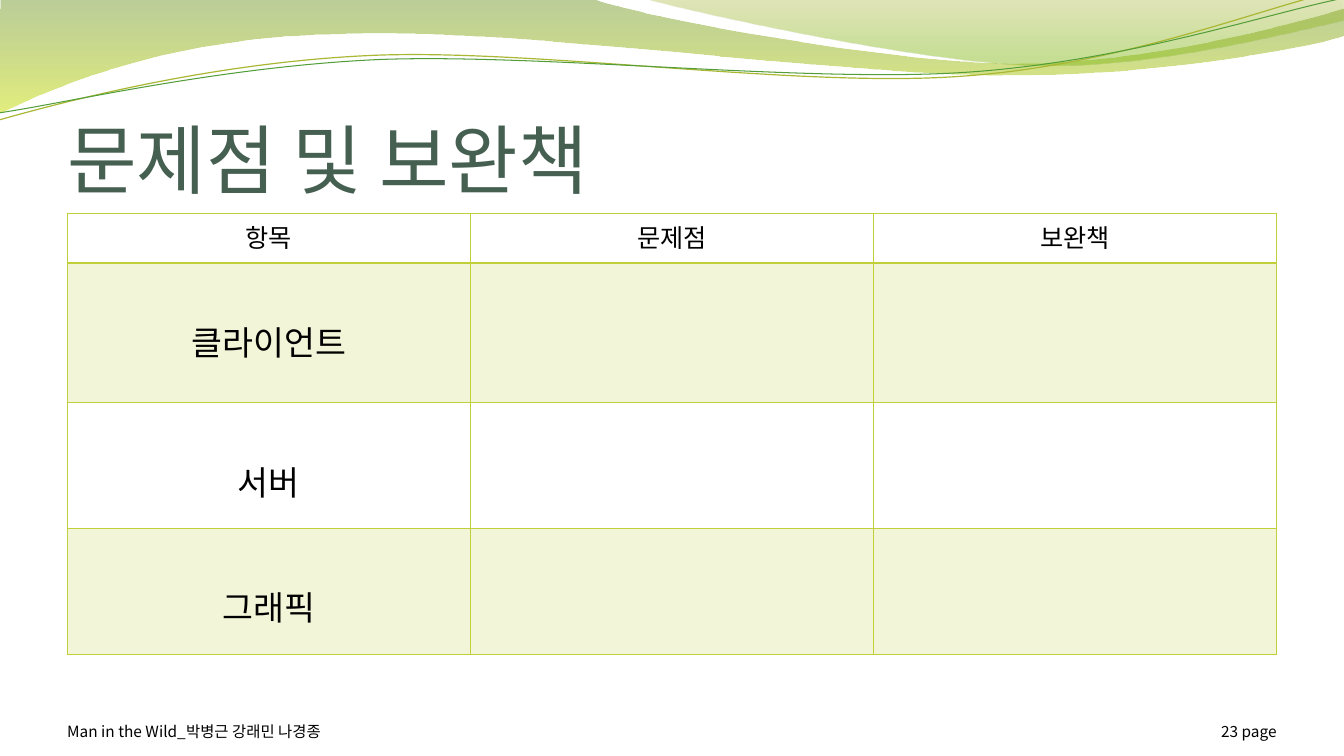
"""Build the slide on problems and remedies with its wave header."""
from lxml import etree
from pptx import Presentation
from pptx import util as u
from pptx.dml.color import RGBColor
from pptx.enum import text
from pptx.oxml.ns import qn

BLACK = RGBColor(0x00, 0x00, 0x00)
TITLE_GREEN = RGBColor(0x45, 0x5F, 0x51)
LIME = RGBColor(0xC0, 0xCF, 0x3A)
OLIVE = RGBColor(0x69, 0x92, 0x1C)
YELLOW = RGBColor(0xCC, 0xE1, 0x0F)
MOSS = RGBColor(0x9B, 0xAA, 0x1A)
GRASS = RGBColor(0x81, 0xBA, 0x16)
LINE_OLIVE = RGBColor(0xA9, 0xB7, 0x33)
LINE_GREEN = RGBColor(0x54, 0x9E, 0x39)
SANS = "Noto Sans CJK KR"
SERIF = "Vollkorn"

BAND = [(0, 0), (422.6, -0.7),
        (456.5, 12.2, 636.5, 45.4, 727.9, 45.4),
        (818.6, 45.4, 919.4, 18.7, 959.8, 6.5), (960.5, 25.9),
        (943.9, 31.7, 834.5, 54.7, 715.7, 54),
        (596.9, 54, 366.5, 20.2, 247, 24.5),
        (123.8, 25.9, 43.9, 59.8, -1.4, 81.4)]
SHEEN = [(459.4, -0.7), (488.9, 7.9, 654.5, 44.6, 738, 46.8),
         (820.8, 49.7, 923, 23, 959.8, 15.1), (959.8, 0)]
UPPER_LINE = [(-0.7, 85.7), (45.4, 72.7, 151.2, 44.6, 265.7, 39.6),
              (379.4, 34.6, 568.1, 62.6, 683.3, 54.7),
              (799.2, 47.5, 900.7, 5.8, 957.6, -7.2)]
LOWER_LINE = [(-0.7, 80.6), (44.6, 74.2, 157, 47.5, 271.4, 42.5),
              (386.6, 38.2, 573.1, 59, 687.6, 51.8),
              (802.1, 44.6, 903.6, 10.1, 959.8, -1.4)]


def apply(target, values):
    """Set attributes from a dict of format values."""
    for name, value in values.items():
        setattr(target, name, value)


def set_alpha(color, percent):
    """Give an RGB colour element an opacity in percent."""
    etree.SubElement(color, qn("a:alpha"), val=str(percent * 1000))


def write(para, words, size, color, font=SANS, align=text.PP_ALIGN.LEFT):
    """Write one formatted span into a paragraph."""
    para.alignment = align
    span = para.add_run()
    span.text = words
    apply(span.font, {"size": u.Pt(size), "name": font})
    span.font.color.rgb = color


def add_outline(page, path, left, top, closed):
    """Draw corners and cubic curves as a freeform, offset from a corner."""
    points = [((left + part[i]) * 100, (top + part[i + 1]) * 100)
              for part in path for i in range(0, len(part), 2)]
    builder = page.shapes.build_freeform(*points[0], scale=u.Pt(1) / 100)
    builder.add_line_segments(points[1:], close=closed)
    shape = builder.convert_to_shape()
    shape.shadow.inherit = False
    segments = iter(list(shape._element.spPr.iter(qn("a:lnTo"))))
    for part in path[1:]:
        segment = next(segments)
        if len(part) == 6:
            segment.addprevious(etree.Element(qn("a:cubicBezTo")))
            curve = segment.getprevious()
            for control in (segment, next(segments), next(segments)):
                curve.append(control[0])
                control.getparent().remove(control)
    return shape


def add_waves(page, left, top):
    """Draw the two gradient waves and the two thin lines."""
    for path, stops in ((BAND, [(0, OLIVE, 45), (1, YELLOW, 55)]),
                        (SHEEN, [(0, MOSS, 30), (0.8, GRASS, 45)])):
        wave = add_outline(page, path, left, top, True)
        wave.line.fill.background()
        wave.fill.gradient()
        wave.fill.gradient_angle = 270
        for stop, (position, color, _) in zip(wave.fill.gradient_stops, stops):
            stop.position = position
            stop.color.rgb = color
        colors = wave._element.spPr.iter(qn("a:srgbClr"))
        for color, (_, _, alpha) in zip(list(colors), stops):
            set_alpha(color, alpha)
    for path, color, width in ((UPPER_LINE, LINE_OLIVE, 0.85),
                               (LOWER_LINE, LINE_GREEN, 0.75)):
        curve = add_outline(page, path, left, top, False)
        curve.fill.background()
        curve.line.color.rgb = color
        curve.line.width = u.Pt(width)


def add_label(page, box, words, size, color, align=text.PP_ALIGN.LEFT, inset=0):
    """Place a bottom-anchored line of text in a box."""
    frame = page.shapes.add_textbox(*map(u.Pt, box)).text_frame
    apply(frame, {"word_wrap": True, "margin_left": 0, "margin_right": 0,
                  "margin_top": u.Pt(inset), "margin_bottom": 0,
                  "vertical_anchor": text.MSO_ANCHOR.BOTTOM})
    write(frame.paragraphs[0], words, size, color, align=align)


def add_borders(cell, widths):
    """Draw lime cell borders with the given widths by side."""
    props = cell._tc.get_or_add_tcPr()
    for side, width in widths.items():
        line = etree.SubElement(props, qn(f"a:ln{side}"), w=str(u.Pt(width)))
        fill = etree.SubElement(line, qn("a:solidFill"))
        etree.SubElement(fill, qn("a:srgbClr"), val=str(LIME))


def add_issue_table(page, box):
    """Place the table of items, problems and remedies in a box."""
    heads = ["항목", "문제점", "보완책"]
    items = ["클라이언트", "서버", "그래픽"]
    heights = [35.3, 100, 89.8, 89.8]
    rows = [heads] + [[item, "", ""] for item in items]
    table = page.shapes.add_table(len(rows), len(heads), *map(u.Pt, box)).table
    apply(table, {"first_row": False, "horz_banding": False})
    for column in table.columns:
        column.width = u.Pt(box[2] / len(heads))
    for index, (words, height) in enumerate(zip(rows, heights)):
        table.rows[index].height = u.Pt(height)
        for cell, word in zip(table.rows[index].cells, words):
            add_borders(cell, {"L": 1, "R": 1, "T": 2 if index == 1 else 1,
                               "B": 2 if index == 0 else 1})
            if index % 2:
                cell.fill.solid()
                cell.fill.fore_color.rgb = LIME
                set_alpha(cell._tc.tcPr.find(qn("a:solidFill"))[0], 20)
            else:
                cell.fill.background()
            if word:
                size, font = (24, SANS) if index else (18, SERIF)
                cell.margin_top = u.Pt(38 if index else 3.6)
                write(cell.text_frame.paragraphs[0], word, size, BLACK, font,
                      text.PP_ALIGN.CENTER)


def add_footer(page, left, top, width, height):
    """Place the team line and the page number at the two ends of a strip."""
    number_width = 80
    add_label(page, (left, top, 352, height),
              "Man in the Wild_박병근 강래민 나경종", 11, BLACK)
    add_label(page, (left + width - number_width, top, number_width, height),
              "23 page", 11, BLACK, text.PP_ALIGN.RIGHT)


def main():
    """Build the deck and save it."""
    deck = Presentation()
    apply(deck, {"slide_width": u.Pt(960), "slide_height": u.Pt(540)})
    page = deck.slides.add_slide(deck.slide_layouts[6])
    left, width = 48, 864
    add_waves(page, 0, 0)
    add_label(page, (left, 55.5, width, 90), "문제점 및 보완책", 54, TITLE_GREEN,
              inset=3.6)
    add_issue_table(page, (left, 152.5, width, 314.9))
    add_footer(page, left, 500.5, width, 28.8)
    deck.save("out.pptx")


if __name__ == "__main__":
    main()
